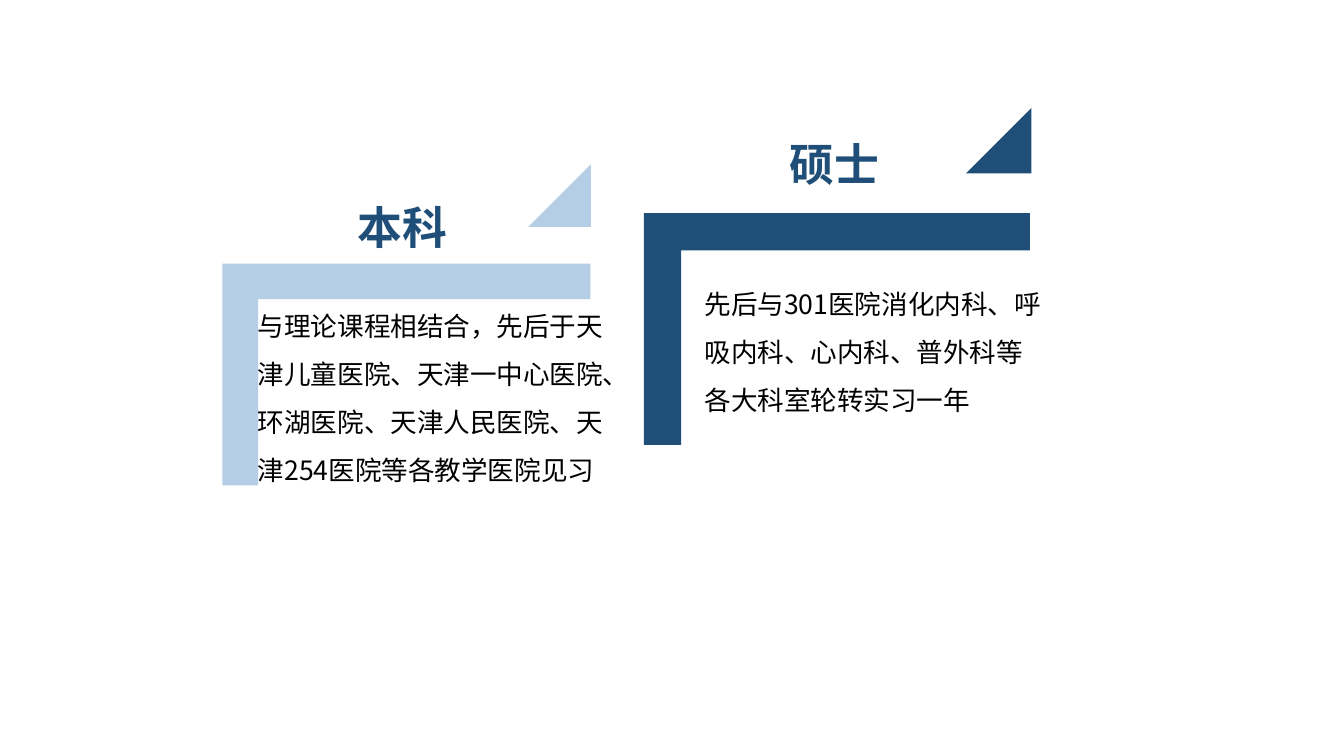
from lxml.etree import SubElement
from pptx import Presentation
from pptx.dml.color import RGBColor
from pptx.enum.shapes import MSO_SHAPE
from pptx.enum.text import MSO_AUTO_SIZE
from pptx.oxml.ns import qn
from pptx.util import Inches, Pt

FONT = "Noto Sans CJK SC"
LIGHT_BLUE = RGBColor(0xB5, 0xCD, 0xE5)
DARK_BLUE = RGBColor(0x1F, 0x4E, 0x79)
BLACK = RGBColor(0, 0, 0)

STAGES = [
    {
        "color": LIGHT_BLUE,
        "corner": (2.93, 1.89, 2.2, 3.65),
        "triangle": (5.24, 1.63, 0.62, 0.62),
        "heading": ("本科", (3.45, 1.93, 1.15, 0.64)),
        "body": (
            "与理论课程相结合，先后于天津儿童医院、天津一中心医院、"
            "环湖医院、天津人民医院、天津254医院等各教学医院见习",
            (2.46, 2.87, 3.72, 1.94),
        ),
    },
    {
        "color": DARK_BLUE,
        "corner": (7.15, 1.35, 2.3, 3.83),
        "triangle": (9.58, 1.07, 0.65, 0.65),
        "heading": ("硕士", (7.73, 1.31, 1.15, 0.64)),
        "body": (
            "先后与301医院消化内科、呼吸内科、心内科、普外科等各大科室轮转实习一年",
            (6.89, 2.65, 3.54, 1.88),
        ),
    },
]


def add_filled_shape(shapes, kind, box, color, adjustments):
    shape = shapes.add_shape(kind, *map(Inches, box))
    for index, value in enumerate(adjustments):
        shape.adjustments[index] = value
    shape.fill.solid()
    shape.fill.fore_color.rgb = color
    shape.line.fill.background()
    shape.shadow.inherit = False
    return shape


def add_bracket(slide, corner_box, triangle_box, color):
    shapes = slide.shapes.add_group_shape().shapes
    corner = add_filled_shape(
        shapes, MSO_SHAPE.CORNER, corner_box, color, (0.161, 0.161)
    )
    corner.rotation = 90
    add_filled_shape(
        shapes, MSO_SHAPE.ISOSCELES_TRIANGLE, triangle_box, color, (1,)
    )


def add_text(slide, text, box, size, color, bold=False, line_spacing=None):
    text_frame = slide.shapes.add_textbox(*map(Inches, box)).text_frame
    text_frame.word_wrap = True
    text_frame.auto_size = MSO_AUTO_SIZE.SHAPE_TO_FIT_TEXT
    text_frame.text = text
    paragraph = text_frame.paragraphs[0]
    paragraph.line_spacing = line_spacing
    run = paragraph.runs[0]
    run.font.size = Pt(size)
    run.font.bold = bold
    run.font.color.rgb = color
    run.font.name = FONT
    SubElement(run.font._element, qn("a:ea")).set("typeface", FONT)


def main():
    presentation = Presentation()
    presentation.slide_width = Inches(13.33)
    presentation.slide_height = Inches(7.5)
    slide = presentation.slides.add_slide(presentation.slide_layouts[6])
    for stage in STAGES:
        add_bracket(slide, stage["corner"], stage["triangle"], stage["color"])
    for stage in STAGES:
        add_text(slide, *stage["heading"], 32, DARK_BLUE, bold=True)
        add_text(slide, *stage["body"], 19, BLACK, line_spacing=1.5)
    presentation.save("out.pptx")


if __name__ == "__main__":
    main()
